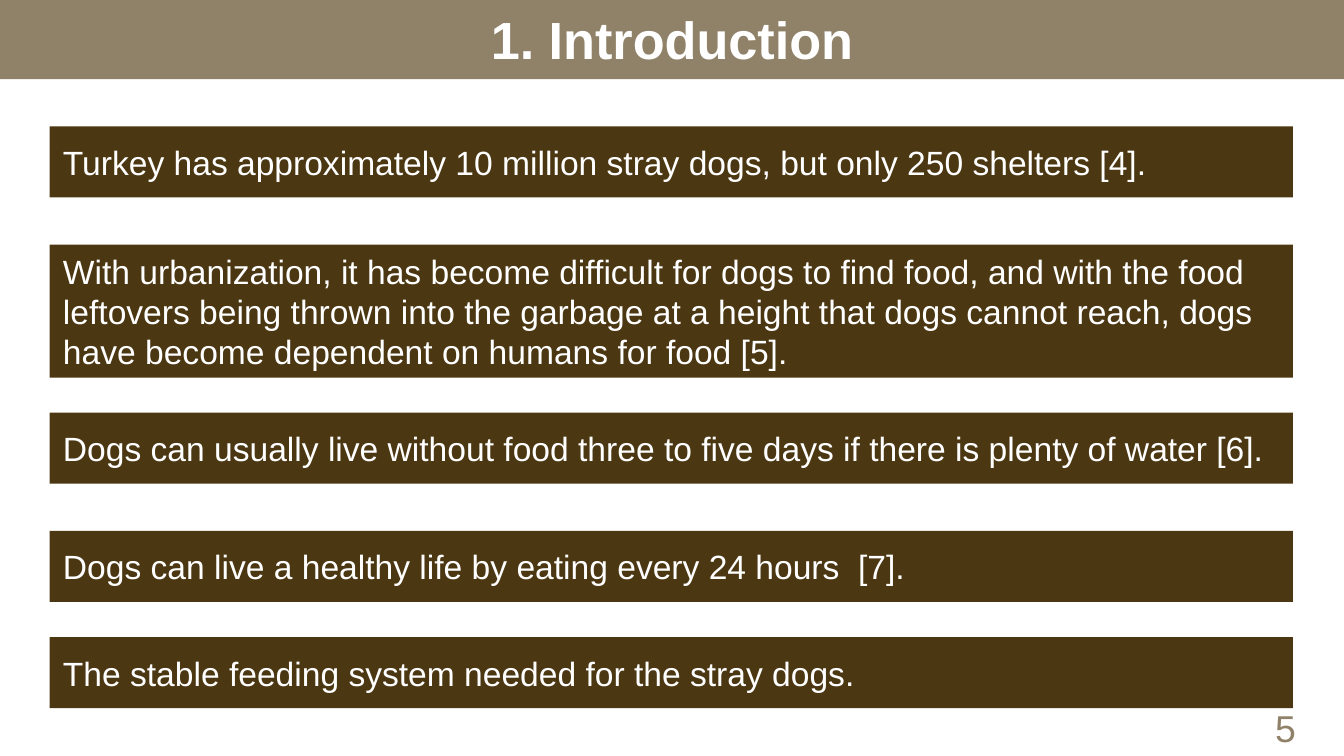
from dataclasses import dataclass

from pptx import Presentation
from pptx.dml.color import RGBColor
from pptx.enum.shapes import MSO_SHAPE
from pptx.enum.text import MSO_ANCHOR, PP_ALIGN
from pptx.util import Inches, Pt


@dataclass(frozen=True)
class Theme:
    font: str = "Arial"
    sand: RGBColor = RGBColor(0x90, 0x82, 0x69)
    brown: RGBColor = RGBColor(0x4C, 0x37, 0x13)
    white: RGBColor = RGBColor(0xFF, 0xFF, 0xFF)
    head: int = 28
    body: int = 18
    page: int = 20


THEME = Theme()
WIDTH = 10
HEIGHT = WIDTH * 9 / 16
BAND = (0, -0.01, WIDTH, 0.6)

# Top, height and text of each fact
FACTS = [
    (0.94, 0.53, "Turkey has approximately 10 million stray dogs, but only 250 shelters [4]."),
    (1.82, 0.99, "With urbanization, it has become difficult for dogs to find food, "
                 "and with the food leftovers being thrown into the garbage at a height "
                 "that dogs cannot reach, dogs have become dependent on humans for food [5]."),
    (3.07, 0.53, "Dogs can usually live without food three to five days if there is plenty of water [6]."),
    (3.95, 0.53, "Dogs can live a healthy life by eating every 24 hours  [7]."),
    (4.74, 0.53, "The stable feeding system needed for the stray dogs."),
]


def write(shape, text, size, color, align=PP_ALIGN.LEFT, bold=False, pad=0.1):
    frame = shape.text_frame
    frame.word_wrap = True
    frame.vertical_anchor = MSO_ANCHOR.MIDDLE
    frame.margin_left = frame.margin_right = Inches(0.1)
    frame.margin_top = frame.margin_bottom = Inches(pad)
    para = frame.paragraphs[0]
    para.alignment = align
    run = para.add_run()
    run.text = text
    font = run.font
    font.name, font.size, font.bold = THEME.font, Pt(size), bold
    font.color.rgb = color


def add_bar(slide, box, color):
    bar = slide.shapes.add_shape(MSO_SHAPE.RECTANGLE, *map(Inches, box))
    bar.shadow.inherit = False
    bar.fill.solid()
    bar.fill.fore_color.rgb = color
    bar.line.fill.background()
    return bar


def add_title(slide, text):
    """Fill the title placeholder and lay the band behind it."""
    title = slide.shapes.title
    title.left, title.top, title.width, title.height = map(Inches, BAND)
    write(title, text, THEME.head, THEME.white, PP_ALIGN.CENTER, bold=True)
    band = add_bar(slide, BAND, THEME.sand)
    title.element.addprevious(band.element)


def add_fact(slide, top, height, text):
    bar = add_bar(slide, (0.37, top, 9.25, height), THEME.brown)
    write(bar, text, THEME.body, THEME.white)


def add_page(slide, number):
    box = slide.shapes.add_textbox(*map(Inches, (9.13, 5.19, 0.87, 0.44)))
    write(box, number, THEME.page, THEME.sand, PP_ALIGN.CENTER, pad=0.05)


def main():
    deck = Presentation()
    deck.slide_width, deck.slide_height = Inches(WIDTH), Inches(HEIGHT)
    slide = deck.slides.add_slide(deck.slide_layouts[5])
    add_title(slide, "1. Introduction")
    for fact in FACTS:
        add_fact(slide, *fact)
    add_page(slide, "5")
    deck.save("out.pptx")


if __name__ == "__main__":
    main()
